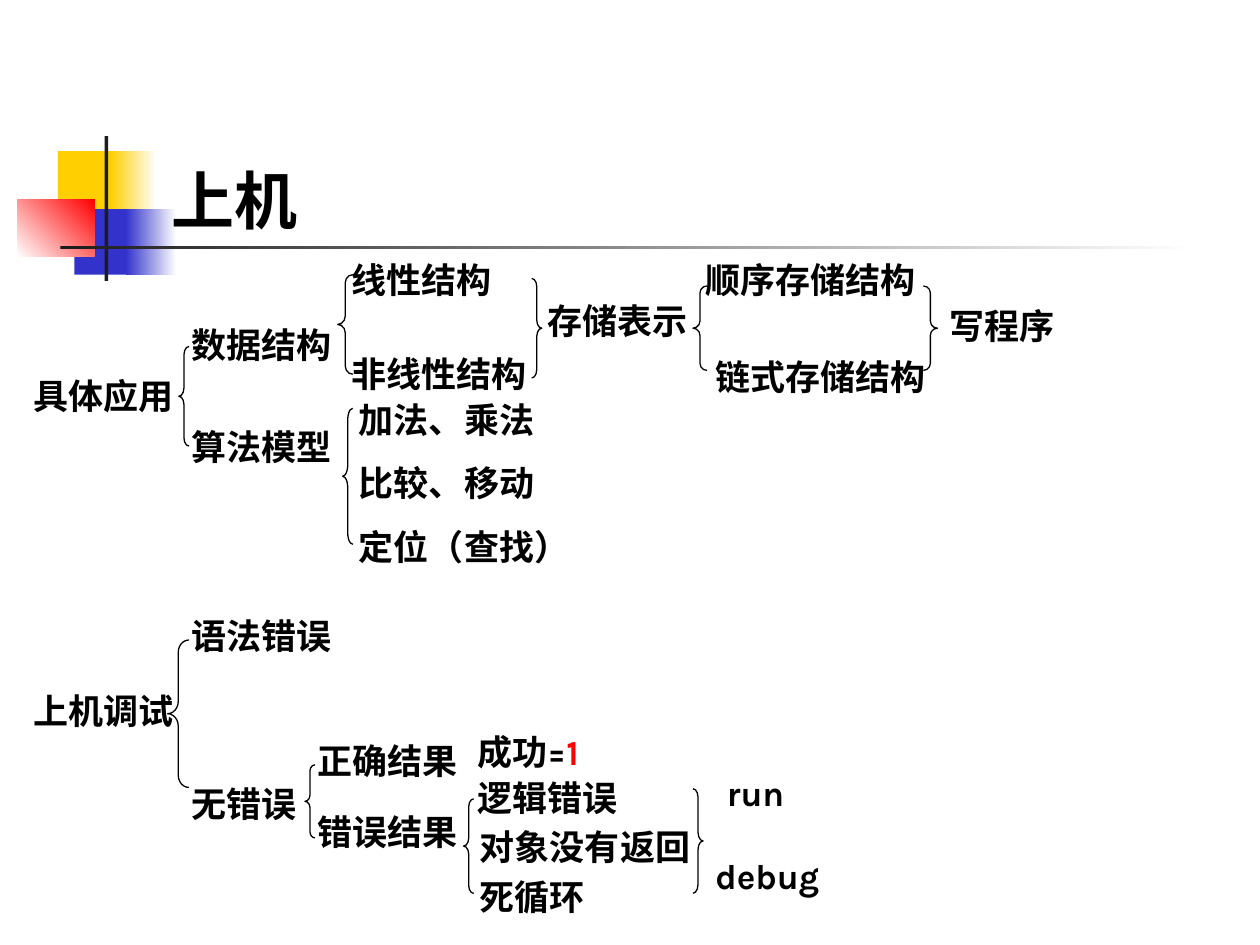
from pptx import Presentation
from pptx import util as u
from pptx.dml.color import RGBColor
from pptx.enum import shapes, text

COLORS = {"ink": "000000", "bar": "1C1C1C", "yellow": "FFCF01", "blue": "3333CC",
          "red": "FF0000", "paper": "FFFFFF"}

DECOR = [
    ((0.46, 1.2, 0.48, 0.52), ["yellow"], 0),
    ((0.88, 1.2, 0.36, 0.52), ["yellow", "paper"], 0),
    ((0.59, 1.66, 0.46, 0.52), ["blue"], 0),
    ((1, 1.66, 0.4, 0.52), ["blue", "paper"], 0),
    ((0.14, 1.58, 0.61, 0.46), ["paper", "red"], 45),
    ((0.83, 1.08, 0.03, 1.15), ["bar"], 0),
    ((0.48, 1.95, 9, 0.03), ["bar", "paper"], 0),
]

TITLE = "上机"
LABEL_HEIGHT = 0.44
NARROW, MEDIUM, WIDE = 1.33, 1.67, 1.92
LABELS = [
    (1.42, 4.83, NARROW, "语法错误"),
    (0.17, 5.42, NARROW, "上机调试"),
    (3.69, 6.11, NARROW, "逻辑错误"),
    (2.42, 5.82, NARROW, "正确结果"),
    (2.42, 6.38, NARROW, "错误结果"),
    (3.71, 6.5, WIDE, "对象没有返回"),
    (3.71, 6.9, NARROW, "死循环"),
    (1.42, 6.16, NARROW, "无错误"),
    (0.17, 2.92, NARROW, "具体应用"),
    (1.42, 3.33, NARROW, "算法模型"),
    (1.42, 2.52, NARROW, "数据结构"),
    (2.69, 2, NARROW, "线性结构"),
    (2.69, 2.75, MEDIUM, "非线性结构"),
    (4.25, 2.33, NARROW, "存储表示"),
    (5.5, 2, WIDE, "顺序存储结构"),
    (5.58, 2.77, WIDE, "链式存储结构"),
    (7.44, 2.37, NARROW, "写程序"),
    (5.67, 6.07, NARROW, "run"),
    (5.58, 6.73, NARROW, "debug"),
]
OPERATIONS = ["加法、乘法", "比较、移动", "定位（查找）"]
SUCCESS = [("成功=", "ink"), ("1", "red")]

LEFT, RIGHT = shapes.MSO_SHAPE.LEFT_BRACE, shapes.MSO_SHAPE.RIGHT_BRACE
PAIR = shapes.MSO_SHAPE.DOUBLE_BRACE
BRACES = [
    (LEFT, (1.42, 2.75, 0.08, 0.79)),
    (LEFT, (2.68, 2.18, 0.12, 0.79)),
    (RIGHT, (4.22, 2.21, 0.08, 0.79)),
    (PAIR, (5.5, 2.27, 1.94, 0.67)),
    (LEFT, (2.72, 3.24, 0.08, 1.08)),
    (LEFT, (1.33, 5.08, 0.17, 1.17)),
    (LEFT, (2.42, 6.07, 0.08, 0.58)),
    (LEFT, (3.68, 6.34, 0.08, 0.75)),
    (RIGHT, (5.5, 6.26, 0.08, 0.83)),
]

FRAME = {"word_wrap": True, "margin_left": u.Inches(0.1), "margin_right": u.Inches(0.1),
         "margin_top": u.Inches(0.05), "margin_bottom": u.Inches(0.05)}
LABEL_FRAME = FRAME | {"auto_size": text.MSO_AUTO_SIZE.SHAPE_TO_FIT_TEXT}
TITLE_FRAME = FRAME | {"vertical_anchor": text.MSO_ANCHOR.BOTTOM}
LABEL_FONT = {"name": "Karla", "size": u.Pt(20), "bold": True}
TITLE_FONT = {"name": "Times New Roman", "size": u.Pt(36), "bold": True}


def color(name):
    return RGBColor.from_string(COLORS[name])


def apply(target, values):
    for name, value in values.items():
        setattr(target, name, value)


def add_preset(page, kind, area):
    shape = page.shapes.add_shape(kind, *map(u.Inches, area))
    shape.shadow.inherit = False
    return shape


def add_block(page, area, angle, names):
    shape = add_preset(page, shapes.MSO_SHAPE.RECTANGLE, area)
    shape.line.fill.background()
    if len(names) == 1:
        shape.fill.solid()
        shape.fill.fore_color.rgb = color(names[0])
        return
    shape.fill.gradient()
    shape.fill.gradient_angle = angle
    for stop, name in zip(shape.fill.gradient_stops, names):
        stop.color.rgb = color(name)


def add_text(page, area, lines, frame=LABEL_FRAME, font=LABEL_FONT):
    box = page.shapes.add_textbox(*map(u.Inches, area)).text_frame
    apply(box, frame)
    for index, spans in enumerate(lines):
        para = box.add_paragraph() if index else box.paragraphs[0]
        if index:
            para.space_before = u.Pt(12.5)
        for words, name in spans:
            span = para.add_run()
            span.text = words
            apply(span.font, font)
            span.font.color.rgb = color(name)


def add_brace(page, kind, area):
    shape = add_preset(page, kind, area)
    shape.fill.background()
    shape.line.color.rgb = color("ink")
    shape.line.width = u.Pt(0.75)
    width, height = area[2:]
    shape.adjustments[0] = 1 / 12 if kind == PAIR else height / 12 / width


def main():
    deck = Presentation()
    deck.slide_width, deck.slide_height = u.Inches(10), u.Inches(7.5)
    page = deck.slides.add_slide(deck.slide_layouts[6])
    for area, names, angle in DECOR:
        add_block(page, area, angle, names)
    add_text(page, (1.26, 0.68, 8.52, 1.25), [[(TITLE, "ink")]], TITLE_FRAME, TITLE_FONT)
    for left, top, width, words in LABELS:
        add_text(page, (left, top, width, LABEL_HEIGHT), [[(words, "ink")]])
    add_text(page, (3.69, 5.75, MEDIUM, LABEL_HEIGHT), [SUCCESS])
    add_text(page, (2.75, 3.11, 2.09, 1.45), [[(words, "ink")] for words in OPERATIONS])
    for kind, area in BRACES:
        add_brace(page, kind, area)
    deck.save("out.pptx")


if __name__ == "__main__":
    main()
